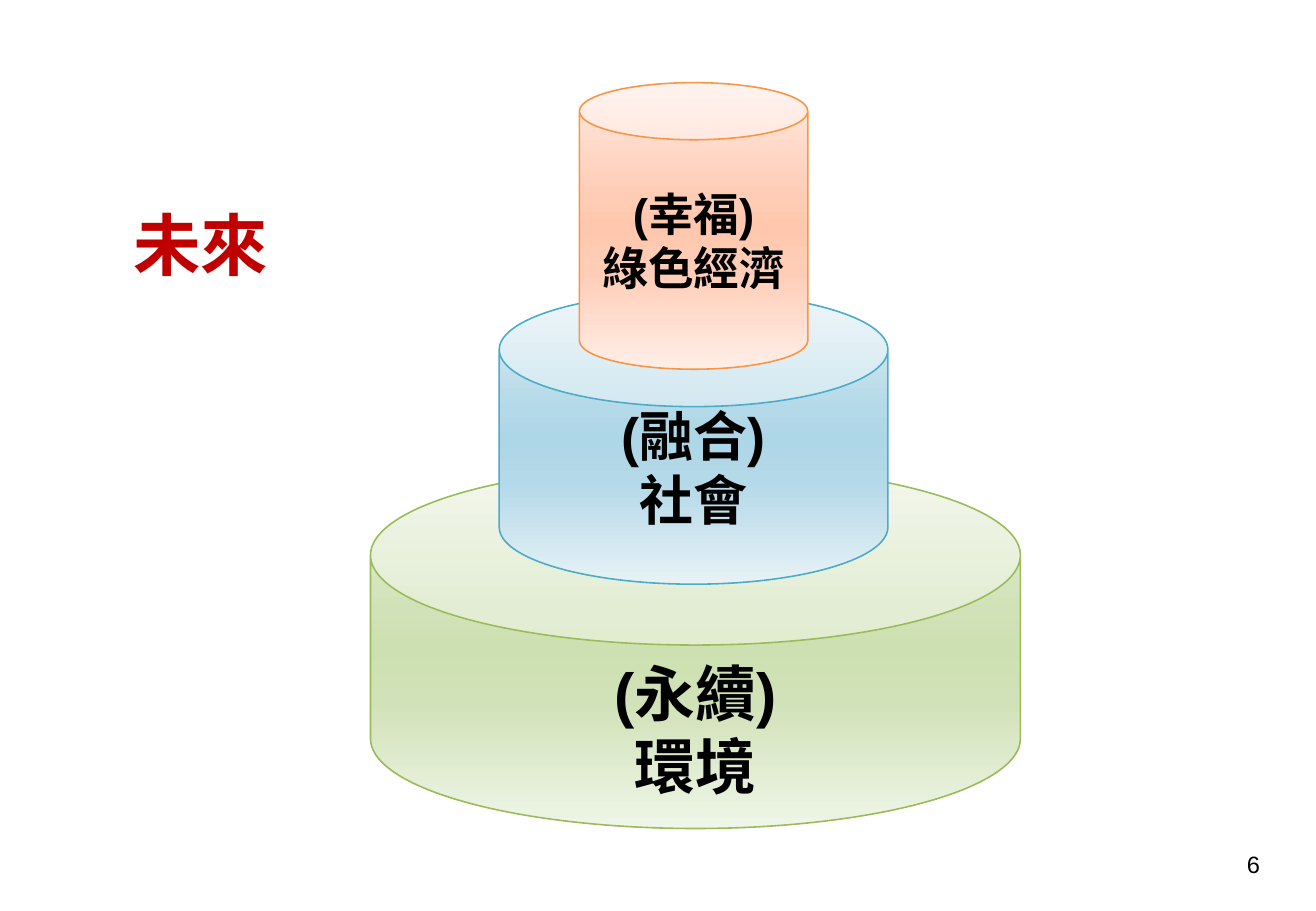
import dataclasses

import lxml.etree
import pptx
import pptx.dml.color
import pptx.enum.shapes
import pptx.enum.text
import pptx.oxml.ns
import pptx.util

Pt = pptx.util.Pt
qn = pptx.oxml.ns.qn
Align = pptx.enum.text.PP_ALIGN
Anchor = pptx.enum.text.MSO_ANCHOR

STOP_POSITIONS = (0, 40, 50, 65, 100)


@dataclasses.dataclass
class Label:
    lines: tuple[str, ...]
    size: float
    font: str = "Arial"
    color: str = "000000"
    bold: bool = True
    align: Align = Align.CENTER
    anchor: Anchor = Anchor.MIDDLE
    top_margin: float = 3.6


@dataclasses.dataclass
class Tier:
    bounds: tuple[float, float, float, float]
    depth: float
    stops: tuple[str, ...]
    outline: str
    label: Label


@dataclasses.dataclass
class Caption:
    bounds: tuple[float, float, float, float]
    label: Label


def rgb(value: str) -> pptx.dml.color.RGBColor:
    return pptx.dml.color.RGBColor.from_string(value)


def apply(target: object, values: dict) -> None:
    for name, value in values.items():
        setattr(target, name, value)


def write_label(shape, label: Label) -> None:
    frame = shape.text_frame
    apply(frame, {"word_wrap": True, "vertical_anchor": label.anchor,
                  "margin_top": Pt(label.top_margin)})
    for index, line in enumerate(label.lines):
        para = frame.add_paragraph() if index else frame.paragraphs[0]
        para.alignment = label.align
        span = para.add_run()
        span.text = line
        apply(span.font, {"size": Pt(label.size), "bold": label.bold,
                          "name": label.font})
        span.font.color.rgb = rgb(label.color)
        # East Asian characters use the same typeface
        east_asian = lxml.etree.SubElement(span.font._element, qn("a:ea"))
        east_asian.set("typeface", label.font)


def fill_gradient(shape, colors: tuple[str, ...]) -> None:
    shape.fill.gradient()
    shape.fill.gradient_angle = 270
    stop_list = shape._element.spPr.find(".//" + qn("a:gsLst"))
    for stop in list(stop_list):
        stop_list.remove(stop)
    for position, color in zip(STOP_POSITIONS, colors):
        stop = lxml.etree.SubElement(stop_list, qn("a:gs"), pos=str(position * 1000))
        lxml.etree.SubElement(stop, qn("a:srgbClr"), val=color)


def draw_tier(page, tier: Tier) -> None:
    can = page.shapes.add_shape(pptx.enum.shapes.MSO_SHAPE.CAN, *map(Pt, tier.bounds))
    can.adjustments[0] = tier.depth
    can.shadow.inherit = False
    fill_gradient(can, tier.stops)
    can.line.color.rgb = rgb(tier.outline)
    can.line.width = Pt(0.94)
    write_label(can, tier.label)


def draw_caption(page, caption: Caption) -> None:
    box = page.shapes.add_textbox(*map(Pt, caption.bounds))
    write_label(box, caption.label)


# Tiers from the base upwards
TIERS = (
    Tier((219.6, 275.8, 385.2, 215.3), 0.495,
         ("EBF2E2", "D1E2B8", "CDE0B1", "D1E2B8", "EFF5E8"), "9BBB59",
         Label(("(永續)", "環境"), 36, anchor=Anchor.TOP, top_margin=6.5)),
    Tier((295.9, 173.5, 230.4, 172.8), 0.391,
         ("E1EFF4", "B4D9E8", "ADD6E6", "B4D9E8", "E7F2F6"), "4BACC6",
         Label(("(融合)", "社會"), 32)),
    Tier((343.4, 49, 135.4, 169.9), 0.25,
         ("FFEAE1", "FFCCB5", "FFC8AE", "FFCCB5", "FFEEE7"), "F79646",
         Label(("(幸福)", "綠色經濟"), 27)),
)

# Heading and page number
CAPTIONS = (
    Caption((42.5, 116.6, 152.6, 55.4),
            Label(("未來",), 40, font="Noto Sans CJK SC", color="C00000")),
    Caption((571.7, 500.4, 182.2, 28.8),
            Label(("6",), 14, bold=False, align=Align.RIGHT, anchor=Anchor.TOP)),
)


def main() -> None:
    deck = pptx.Presentation()
    apply(deck, {"slide_width": Pt(780), "slide_height": Pt(540)})
    page = deck.slides.add_slide(deck.slide_layouts[6])
    for tier in TIERS:
        draw_tier(page, tier)
    for caption in CAPTIONS:
        draw_caption(page, caption)
    deck.save("out.pptx")


if __name__ == "__main__":
    main()
